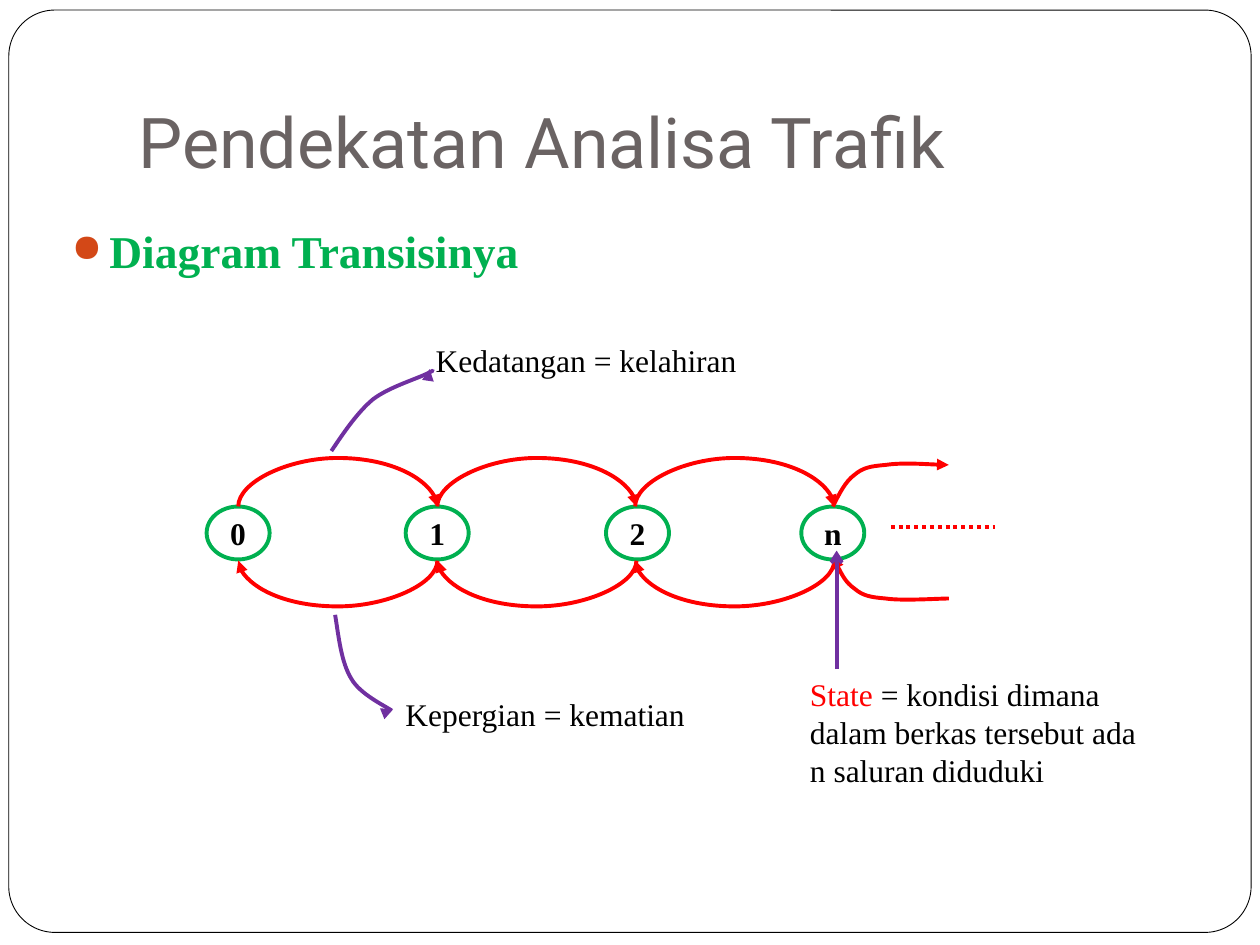
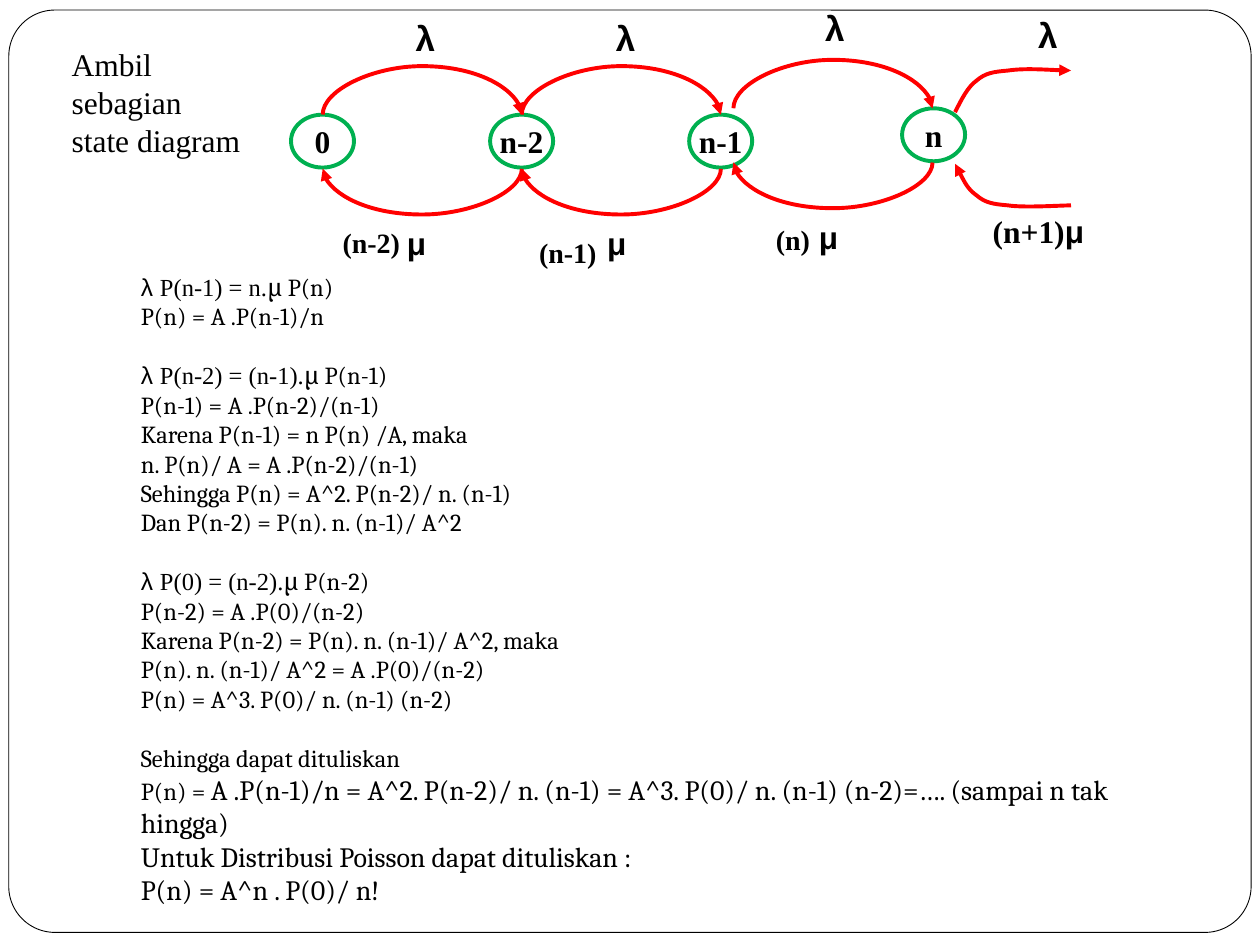
from lxml import etree
from pptx import Presentation
from pptx import util as u
from pptx.dml.color import RGBColor
from pptx.enum import dml, shapes, text
from pptx.oxml.ns import qn

# Grid: 100 columns by 75 rows of square cells
COLS, ROWS, CELL = 100, 75, u.Inches(0.1)

BLACK = RGBColor(0x00, 0x00, 0x00)
WHITE = RGBColor(0xFF, 0xFF, 0xFF)
GREY = RGBColor(0x6A, 0x63, 0x63)
GREEN = RGBColor(0x00, 0xB0, 0x50)
RED = RGBColor(0xFF, 0x00, 0x00)
PURPLE = RGBColor(0x70, 0x30, 0xA0)
BULLET = "D34817"

TIMES, ARIAL, CAMBRIA, ROBOTO = "Times New Roman", "Arial", "Cambria", "Roboto"

STROKE = 2.25
NODE_W, NODE_H, STEP = 5, 4.2, 15.8
ARC_GAP = 4.3             # from the upper arcs' ends to the lower arcs' ends
ARC_THIN = u.Emu(1588)    # thickness of a level curved connector
RISE, DROP = -24400000, 23100000

# Open-ended flow beside the last state: offsets from its start, upwards
FLOW = [(0.5, 1), (1, 2), (1.7, 2.5), (2.4, 3.1), (3, 3.2), (4.2, 3.3),
        (5.5, 3.5), (8.4, 3.3), (9.2, 3.3)]


def cells(*lengths):
    return [u.Emu(round(n * CELL)) for n in lengths]


def set_font(font, name=None, size=None, color=None, bold=None):
    if name:
        font.name = name
    if size:
        font.size = u.Pt(size)
    if color is not None:
        font.color.rgb = color
    if bold:
        font.bold = True


def sub(parent, tag, **attrs):
    return etree.SubElement(parent, qn(tag), attrs)


# Lines and curves

def style_line(sp, color, start=None, end=None, width=STROKE):
    sp.line.color.rgb = color
    sp.line.width = u.Pt(width)
    ln = sp.line._get_or_add_ln()
    for tag, kind in (("a:headEnd", start), ("a:tailEnd", end)):
        if kind:
            sub(ln, tag, type=kind)


def add_line(slide, kind, x1, y1, x2, y2):
    c = slide.shapes.add_connector(kind, *cells(x1, y1, x2, y2))
    sub(c._element.spPr, "a:effectLst")
    return c


def straight(slide, x1, y1, x2, y2, color, end=None):
    c = add_line(slide, shapes.MSO_CONNECTOR.STRAIGHT, x1, y1, x2, y2)
    # The line properties must come before the effect list
    style_line(c, color, end=end)
    return c


def arc(slide, x, y, upper):
    """Curved arrow between two states; lower ones point back to the left."""
    mid = x + STEP / 2
    c = add_line(slide, shapes.MSO_CONNECTOR.CURVE,
                 mid, y - STEP / 2, mid, y + STEP / 2)
    c.width = ARC_THIN
    xfrm = c._element.spPr.find(qn("a:xfrm"))
    xfrm.set("rot", "5400000" if upper else "16200000")
    xfrm.set("flipV" if upper else "flipH", "1")
    av = c._element.spPr.find(qn("a:prstGeom")).find(qn("a:avLst"))
    sub(av, "a:gd", name="adj1", fmla=f"val {RISE if upper else DROP}")
    ends = {"end" if upper else "start": "triangle"}
    style_line(c, RED, **ends)


def arc_pair(slide, x, y):
    arc(slide, x, y, True)
    arc(slide, x, y + ARC_GAP, False)


def curve(slide, points, color, start=None, end=None):
    """Open cubic curve: a start point, then three points per segment."""
    points = [cells(*pt) for pt in points]
    fb = slide.shapes.build_freeform(*points[0])
    fb.add_line_segments(points[1:], close=False)
    sp = fb.convert_to_shape()
    legs = list(sp._element.iter(qn("a:lnTo")))
    for i in range(0, len(legs), 3):
        bez = sub(legs[i].getparent(), "a:cubicBezTo")
        for leg in legs[i:i + 3]:
            bez.append(leg[0])
            leg.getparent().remove(leg)
    sp.shadow.inherit = False
    sp.fill.background()
    style_line(sp, color, start, end)


def flow_pair(slide, x, y_out, y_in):
    for y, sign, ends in ((y_out, -1, {"end": "triangle"}),
                          (y_in, 1, {"start": "triangle"})):
        pts = [(x + dx, y + sign * dy) for dx, dy in FLOW]
        curve(slide, [(x, y)] + pts, RED, **ends)


# Text and shapes

def fill_paragraph(p, runs, size, name=TIMES, color=BLACK, bold=False):
    """runs is a string, or a list of (string, font settings)."""
    set_font(p.font, name, size, color, bold)
    if isinstance(runs, str):
        runs = [(runs, {})]
    for words, settings in runs:
        r = p.add_run()
        r.text = words
        set_font(r.font, **settings)


def text_box(slide, box, runs, size=18, wrap=False, **font):
    sp = slide.shapes.add_textbox(*cells(*box))
    tf = sp.text_frame
    tf.word_wrap = wrap
    fill_paragraph(tf.paragraphs[0], runs, size, **font)
    return tf


def state(slide, x, y, label):
    sp = slide.shapes.add_shape(shapes.MSO_SHAPE.OVAL,
                                *cells(x, y, NODE_W, NODE_H))
    sp.shadow.inherit = False
    sp.fill.background()
    style_line(sp, GREEN)
    tf = sp.text_frame
    tf.word_wrap = False
    tf.vertical_anchor = text.MSO_ANCHOR.MIDDLE
    p = tf.paragraphs[0]
    p.alignment = text.PP_ALIGN.CENTER
    fill_paragraph(p, [(label, {"color": BLACK})], 18, bold=True)


def frame(slide):
    sp = slide.shapes.add_shape(shapes.MSO_SHAPE.ROUNDED_RECTANGLE,
                                *cells(0.7, 0.8, 98.6, 73.2))
    sp.adjustments[0] = 0.05
    sp.shadow.inherit = False
    sp.fill.solid()
    sp.fill.fore_color.rgb = WHITE
    style_line(sp, BLACK, width=0.5)
    slide.shapes._spTree.insert(2, sp._element)


def title(slide, words):
    sp = slide.shapes.title
    sp.left, sp.top, sp.width, sp.height = cells(10, 3, 85, 12.5)
    tf = sp.text_frame
    tf.auto_size = text.MSO_AUTO_SIZE.NONE
    tf.vertical_anchor = text.MSO_ANCHOR.BOTTOM
    tf.margin_bottom = CELL
    p = tf.paragraphs[0]
    p.alignment = text.PP_ALIGN.LEFT
    fill_paragraph(p, words, 40, ROBOTO, GREY)


def bullet_heading(slide, box, words):
    tf = text_box(slide, box, "", wrap=True)
    p = tf.paragraphs[0]
    p.clear()
    pPr = p._p.get_or_add_pPr()
    for child in list(pPr):
        pPr.remove(child)
    pPr.set("marL", str(u.Inches(0.3)))
    pPr.set("indent", str(-u.Inches(0.3)))
    sub(sub(pPr, "a:buClr"), "a:srgbClr", val=BULLET)
    sub(pPr, "a:buSzPct", val="85000")
    sub(pPr, "a:buChar", char="●")
    fill_paragraph(p, words, 26, color=GREEN, bold=True)


def balance(left, middle, right):
    """Equation line that mixes the three text fonts."""
    return [(left, {"name": ARIAL}), (middle, {"name": TIMES}), (right, {})]


def derivation(slide, box, groups):
    tf = slide.shapes.add_textbox(*cells(*box)).text_frame
    tf.word_wrap = True
    p = tf.paragraphs[0]
    for g, lines in enumerate(groups):
        for i, (runs, size) in enumerate(lines):
            if g or i:
                p = tf.add_paragraph()
            if g and i == 0:
                p.space_before = u.Pt(16.8)
            fill_paragraph(p, runs, size, CAMBRIA)


# Slides

def transition_slide(prs):
    slide = prs.slides.add_slide(prs.slide_layouts[5])
    frame(slide)
    title(slide, "Pendekatan Analisa Trafik")
    bullet_heading(slide, (4.7, 17.2, 90, 52.3), "Diagram Transisinya")

    # State chain
    y = 40.2
    for x, label in zip((16.4, 32.2, 48.1, 63.6), "012n"):
        state(slide, x, y, label)
    for x in (18.9, 34.7, 50.4):
        arc_pair(slide, x, y)
    flow_pair(slide, 66.1, y, y + 4)
    dots = straight(slide, 70.7, 41.8, 79, 41.8, RED)
    dots.line.dash_style = dml.MSO_LINE.ROUND_DOT

    # Callouts
    curve(slide, [(26.6, 48.8), (26.9, 50.7), (27.1, 52.6), (27.9, 53.9),
                  (28.6, 55.1), (30.5, 56), (31.1, 56.4),
                  (31.7, 56.8), (31.5, 56.5), (31.2, 56.3)],
          PURPLE, end="triangle")
    text_box(slide, (31.2, 54.7, 26.6, 4), "Kepergian = kematian")
    curve(slide, [(26.3, 35.8), (27.3, 34.3), (28.4, 32.7), (29.6, 31.7),
                  (30.9, 30.7), (33.3, 30), (34, 29.6),
                  (34.8, 29.2), (34.5, 29.3), (34.1, 29.3)],
          PURPLE, end="triangle")
    text_box(slide, (33.6, 26.6, 28.7, 4), "Kedatangan = kelahiran")
    straight(slide, 66.4, 53.1, 66.4, 43.7, PURPLE, "arrow")
    text_box(slide, (63.3, 53.1, 29.7, 10.1),
             [("State ", {"color": RED}),
              ("= kondisi dimana dalam berkas tersebut ada n saluran diduduki",
               {})], wrap=True)


def derivation_slide(prs):
    slide = prs.slides.add_slide(prs.slide_layouts[6])
    frame(slide)
    text_box(slide, (4.7, 3.1, 15.6, 10.1), "Ambil sebagian state diagram",
             wrap=True)

    # State chain; the last state sits slightly higher
    y, y_last = 9.1, 8.6
    for i, label in enumerate(("0", "n-2", "n-1")):
        state(slide, 23.1 + i * STEP, y, label)
    state(slide, 71.6, y_last, "n")
    for x, top in ((25.6, y), (41.4, y), (58.2, y_last)):
        arc_pair(slide, x, top)
    flow_pair(slide, 75.8, 8.9, 13)

    # Rates
    for x, top in ((32, 0.8), (47.9, 0.8), (64.5, 0), (81.4, 0.6)):
        text_box(slide, (x, top, 3.6, 4.4), "λ", 20, name=ARIAL, bold=True)
    for x, top in ((31.3, 17.3), (47.2, 17.3), (64, 16.8)):
        text_box(slide, (x, top, 3.5, 4), "μ", name=ARIAL, bold=True)
    for x, top, label in ((26.2, 17.4, "(n-2)"), (41.8, 18.2, "(n-1)"),
                          (60.6, 17.2, "(n)")):
        text_box(slide, (x, top, 7.8, 3.7), label, 16, wrap=True, bold=True)
    text_box(slide, (77.8, 16.3, 9.6, 4),
             [("(n+1)", {}), ("μ", {"name": ARIAL})], bold=True)

    # Derivation
    derivation(slide, (10.2, 21.1, 84.4, 51.8), [
        [(balance("λ ", "P(n-1) = n.", "μ P(n)"), 14),
         ("P(n) = A .P(n-1)/n", 14)],
        [(balance("λ ", "P(n-2) = (n-1).", "μ P(n-1)"), 14),
         ("P(n-1) = A .P(n-2)/(n-1)", 14),
         ("Karena P(n-1) = n P(n) /A, maka", 14),
         ("n. P(n)/ A = A .P(n-2)/(n-1)", 14),
         ("Sehingga P(n) = A^2. P(n-2)/ n. (n-1)", 14),
         ("Dan P(n-2) = P(n). n. (n-1)/ A^2", 14)],
        [(balance("λ ", "P(0) = (n-2).", "μ P(n-2)"), 14),
         ("P(n-2) = A .P(0)/(n-2)", 14),
         ("Karena P(n-2) = P(n). n. (n-1)/ A^2, maka", 14),
         ("P(n). n. (n-1)/ A^2 = A .P(0)/(n-2)", 14),
         ("P(n) = A^3. P(0)/ n. (n-1) (n-2)", 14)],
        [("Sehingga dapat dituliskan", 14),
         ([("P(n) = ", {"size": 14}),
           ("A .P(n-1)/n = A^2. P(n-2)/ n. (n-1) = A^3. P(0)/ n. (n-1) "
            "(n-2)=…. (sampai n tak hingga)", {})], 16),
         ("Untuk Distribusi Poisson dapat dituliskan :", 16),
         ("P(n) = A^n . P(0)/ n!", 16)],
    ])


def main():
    prs = Presentation()
    prs.slide_width, prs.slide_height = cells(COLS, ROWS)
    transition_slide(prs)
    derivation_slide(prs)
    prs.save("out.pptx")


if __name__ == "__main__":
    main()
